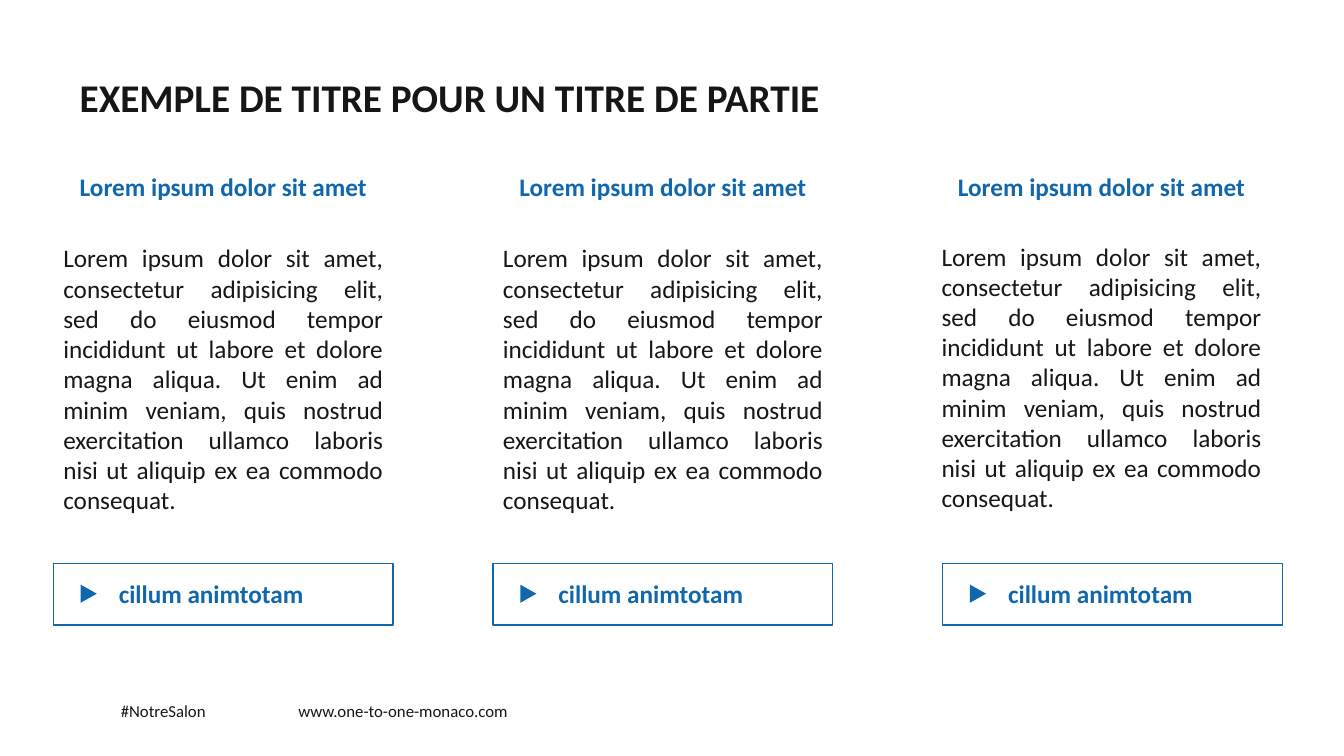
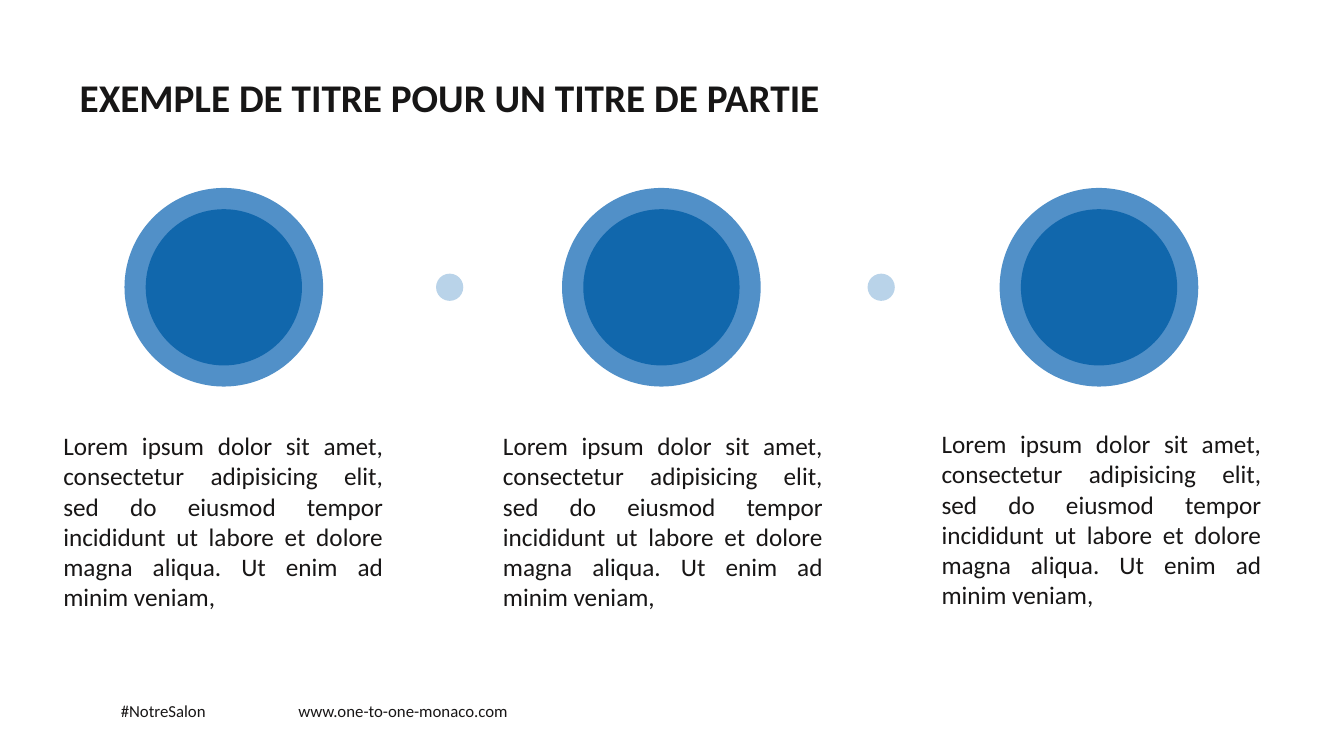
from dataclasses import dataclass

from pptx import Presentation
from pptx.dml.color import RGBColor
from pptx.enum.shapes import MSO_SHAPE
from pptx.enum.text import MSO_ANCHOR, MSO_AUTO_SIZE, PP_ALIGN
from pptx.util import Inches, Pt

OVAL = MSO_SHAPE.OVAL
RECTANGLE = MSO_SHAPE.RECTANGLE
TRIANGLE = MSO_SHAPE.ISOSCELES_TRIANGLE
TOP = MSO_ANCHOR.TOP
NO_AUTO_SIZE = MSO_AUTO_SIZE.NONE
LEFT, CENTER, JUSTIFY = PP_ALIGN.LEFT, PP_ALIGN.CENTER, PP_ALIGN.JUSTIFY
TITLE_ONLY = 5


@dataclass(frozen=True)
class Theme:
    font: str = "Calibri"
    title_ink: str = "171616"
    ink: str = "181616"
    blue: str = "1167AC"
    ring: str = "5190C8"
    dot: str = "B9D3E9"
    title_size: int = 28
    text_size: int = 18
    footer_size: int = 12


THEME = Theme()

COLUMN_LEFTS = (0.53, 4.89, 9.24)
COLUMN_WIDTH = 3.37
BODY_OFFSETS = (0, 0, -0.02)
BUTTON_LEFTS = (0.53, 4.89, 9.35)
BUTTON_TOP, BUTTON_HEIGHT = 5.59, 0.61
RING_SIZE, DISC_SIZE, DOT_SIZE = 1.97, 1.55, 0.27
RING_CENTERS = (2.22, 6.56, 10.9)
DOT_CENTERS = (4.46, 8.74)
RING_MIDDLE = 2.85

TITLE = "EXEMPLE DE TITRE POUR UN TITRE DE PARTIE"
HEADING = "Lorem ipsum dolor sit amet"
BUTTON_LABEL = "cillum animtotam"
SHORT_BODY = (
    "Lorem ipsum dolor sit amet, consectetur adipisicing elit, sed do eiusmod "
    "tempor incididunt ut labore et dolore magna aliqua. Ut enim ad minim veniam,"
)
LONG_BODY = SHORT_BODY + (
    " quis nostrud exercitation ullamco laboris nisi ut aliquip ex ea commodo consequat."
)


def box_inches(box):
    return [Inches(length) for length in box]


def write_text(shape, text, size=THEME.text_size, color=THEME.ink, bold=False,
               align=LEFT, wrap=True):
    frame = shape.text_frame
    frame.word_wrap = wrap
    frame.auto_size = NO_AUTO_SIZE
    frame.vertical_anchor = TOP
    paragraph = frame.paragraphs[0]
    paragraph.alignment = align
    run = paragraph.add_run()
    run.text = text
    run.font.name = THEME.font
    run.font.size = Pt(size)
    run.font.bold = bold
    run.font.color.rgb = RGBColor.from_string(color)


def add_text(slide, box, text, **text_format):
    write_text(slide.shapes.add_textbox(*box_inches(box)), text, **text_format)


def add_figure(slide, kind, box, fill=None, line=None):
    shape = slide.shapes.add_shape(kind, *box_inches(box))
    shape.shadow.inherit = False
    if fill:
        shape.fill.solid()
        shape.fill.fore_color.rgb = RGBColor.from_string(fill)
    else:
        shape.fill.background()
    if line:
        shape.line.color.rgb = RGBColor.from_string(line)
        shape.line.width = Pt(1)
    else:
        shape.line.fill.background()
    return shape


def add_circle(slide, center, middle, size, fill):
    box = (center - size / 2, middle - size / 2, size, size)
    add_figure(slide, OVAL, box, fill=fill)


def add_footer(slide):
    add_text(slide, (1.1, 6.9, 1.17, 0.3), "#NotreSalon",
             size=THEME.footer_size, wrap=False)
    add_text(slide, (2.86, 6.9, 4.35, 0.3), "www.one-to-one-monaco.com",
             size=THEME.footer_size)


def add_titled_slide(presentation, title):
    slide = presentation.slides.add_slide(presentation.slide_layouts[TITLE_ONLY])
    placeholder = slide.shapes.title
    placeholder.left, placeholder.top, placeholder.width, placeholder.height = box_inches(
        (0.69, 0.68, 11.92, 0.57))
    write_text(placeholder, title, size=THEME.title_size, color=THEME.title_ink, bold=True)
    add_footer(slide)
    return slide


def add_body_row(slide, top, height, text):
    for left, offset in zip(COLUMN_LEFTS, BODY_OFFSETS):
        add_text(slide, (left, top + offset, COLUMN_WIDTH, height), text, align=JUSTIFY)


def add_button(slide, box, label):
    """Draw an outlined box with an arrowhead and a label inside it."""
    left, top, _, _ = box
    marker = add_figure(slide, TRIANGLE, (left + 0.26, top + 0.22, 0.18, 0.16),
                        fill=THEME.blue)
    marker.rotation = 90
    add_text(slide, (left + 0.55, top + 0.1, 2.05, 0.4), label,
             color=THEME.blue, bold=True, wrap=False)
    add_figure(slide, RECTANGLE, box, line=THEME.blue)


def add_columns_slide(presentation):
    slide = add_titled_slide(presentation, TITLE)
    for left in COLUMN_LEFTS:
        add_text(slide, (left, 1.65, COLUMN_WIDTH, 0.4), HEADING,
                 color=THEME.blue, bold=True, align=CENTER)
    add_body_row(slide, 2.36, 2.83, LONG_BODY)
    for left in BUTTON_LEFTS:
        add_button(slide, (left, BUTTON_TOP, COLUMN_WIDTH, BUTTON_HEIGHT), BUTTON_LABEL)


def add_circles_slide(presentation):
    slide = add_titled_slide(presentation, TITLE)
    add_body_row(slide, 4.22, 1.92, SHORT_BODY)
    for center in RING_CENTERS:
        add_circle(slide, center, RING_MIDDLE, RING_SIZE, THEME.ring)
        add_circle(slide, center, RING_MIDDLE, DISC_SIZE, THEME.blue)
    for center in DOT_CENTERS:
        add_circle(slide, center, RING_MIDDLE, DOT_SIZE, THEME.dot)


def main():
    presentation = Presentation()
    presentation.slide_width = Inches(13.33)
    presentation.slide_height = Inches(7.5)
    add_columns_slide(presentation)
    add_circles_slide(presentation)
    presentation.save("out.pptx")


if __name__ == "__main__":
    main()
